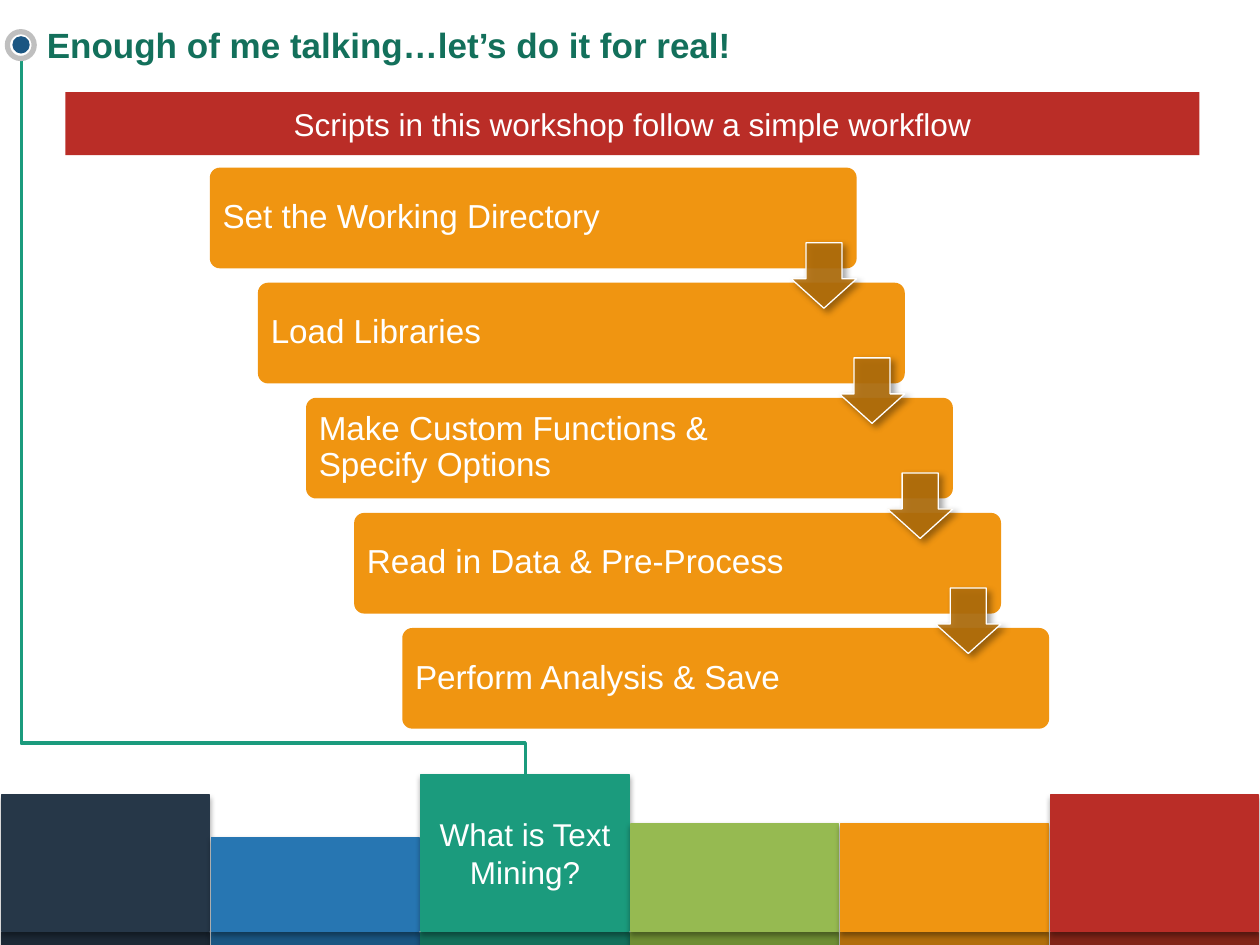
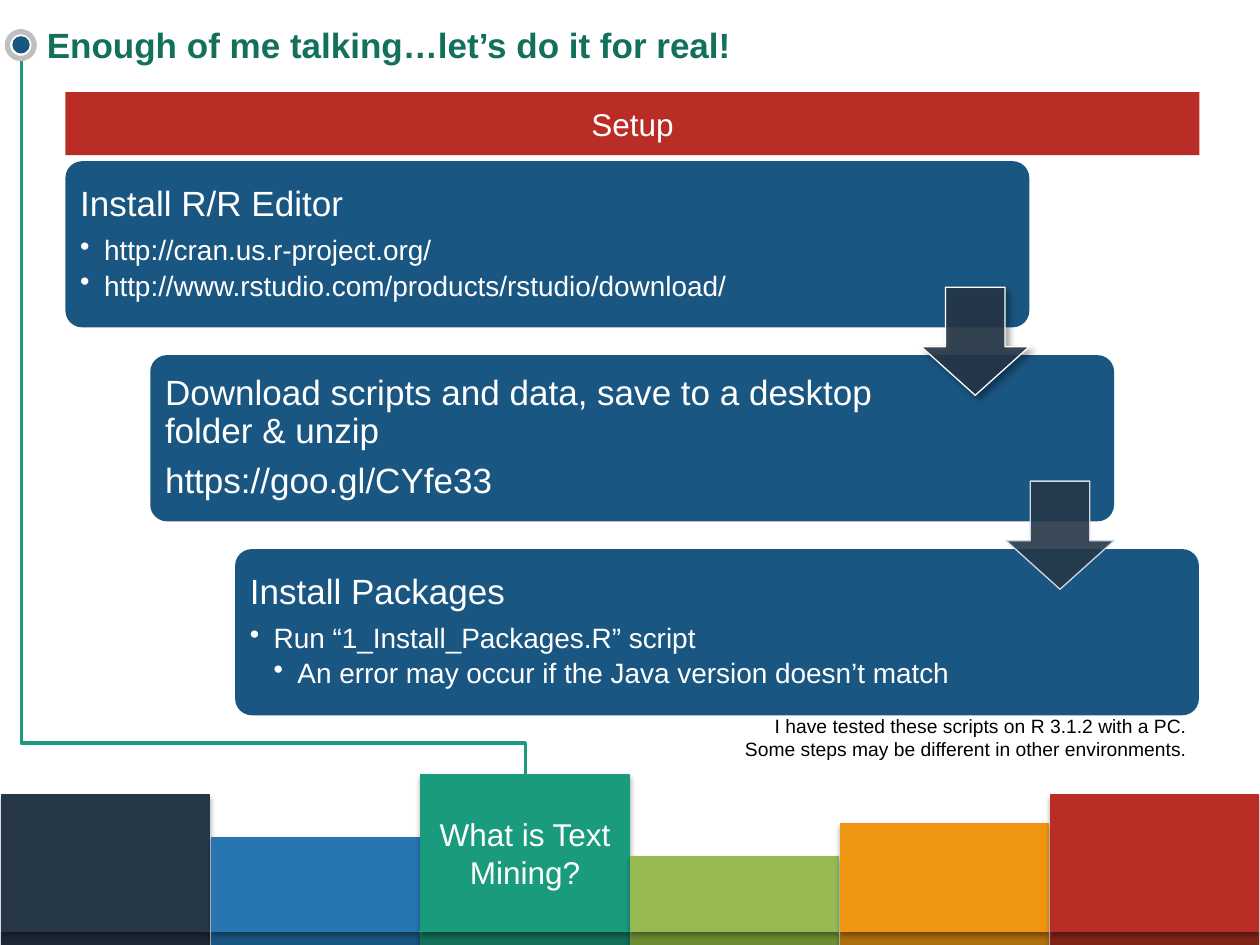
from lxml import etree
from pptx import Presentation
from pptx.dml.color import RGBColor
from pptx.enum import shapes as kinds, text as txt
from pptx.oxml.ns import qn
from pptx.util import Cm, Pt

FONT = "Arial"
WHITE, GREY, BLACK = "FFFFFF", "BFBFBF", "000000"
RED, ORANGE, BROWN = "BA2D27", "F09511", "B16E0C"
NAVY, BLUE, GREEN, DARK_GREEN = "263748", "1A5682", "1B9B7D", "13705B"
TABS = [(NAVY, "1C2835", 2.74), ("2776B2", BLUE, 1.88), (GREEN, DARK_GREEN, 3.15),
        ("96BA51", "6E8D33", 2.16), (ORANGE, BROWN, 2.16), (RED, "812417", 2.74)]
TAB_PITCH, TAB_WIDTH, TAB_BOTTOM = 4.23, 4.19, 18.77
ACTIVE_TAB, LIME_TAB = 2, 3
TAB_SHADOW = (35, 3.15, 1.8, 90)
ARROW_SHADOW = (40, 4, 3, 45)
TITLE = "Enough of me talking…let’s do it for real!"


def rgb(code):
    """Turn a hex string into a colour."""
    return RGBColor.from_string(code)


def add_shadow(shape, opacity, blur, distance, angle):
    """Give a shape a soft black outer shadow."""
    effects = shape._element.spPr.find(qn("a:effectLst"))
    outer = etree.SubElement(effects, qn("a:outerShdw"), blurRad=str(int(Pt(blur))),
                             dist=str(int(Pt(distance))), dir=str(angle * 60000),
                             rotWithShape="0")
    black = etree.SubElement(outer, qn("a:srgbClr"), val=BLACK)
    etree.SubElement(black, qn("a:alpha"), val=str(opacity * 1000))


def add_figure(slide, kind, box, fill, outline=None, weight=0.75, shadow=None, adjust=()):
    """Add a filled preset shape in a box given in centimetres."""
    shape = slide.shapes.add_shape(kind, *(Cm(side) for side in box))
    shape.shadow.inherit = False
    shape.fill.solid()
    shape.fill.fore_color.rgb = rgb(fill)
    if outline:
        shape.line.color.rgb = rgb(outline)
        shape.line.width = Pt(weight)
    else:
        shape.line.fill.background()
    if shadow:
        add_shadow(shape, *shadow)
    for index, value in enumerate(adjust):
        shape.adjustments[index] = value
    return shape


def style(paragraph, size, colour, align=txt.PP_ALIGN.LEFT, bold=False):
    """Set the font and alignment of a paragraph."""
    paragraph.alignment = align
    paragraph.font.name = FONT
    paragraph.font.size = Pt(size)
    paragraph.font.bold = bold
    paragraph.font.color.rgb = rgb(colour)


def add_bullet(paragraph, level):
    """Give a paragraph a hanging round bullet at a level."""
    paragraph.level = level
    props = paragraph._p.get_or_add_pPr()
    props.set("marL", str(int(Cm(0.48 * level))))
    props.set("indent", str(int(Cm(-0.48))))
    etree.SubElement(props, qn("a:buChar"), char="•")


def add_tabs(slide, lime_height):
    """Draw the row of section tabs with their dark base strips."""
    for index, (colour, base, height) in enumerate(TABS):
        left = 0.03 + index * TAB_PITCH
        height = lime_height if index == LIME_TAB else height
        add_figure(slide, kinds.MSO_SHAPE.RECTANGLE, (left, 18.8, TAB_WIDTH, 0.25),
                   base, base, shadow=TAB_SHADOW)
        tab = add_figure(slide, kinds.MSO_SHAPE.RECTANGLE,
                         (left, TAB_BOTTOM - height, TAB_WIDTH, height),
                         colour, colour, shadow=TAB_SHADOW)
        if index == ACTIVE_TAB:
            tab.text_frame.text = "What is Text Mining?"
            style(tab.text_frame.paragraphs[0], 18, WHITE, txt.PP_ALIGN.CENTER)


def add_route(slide, start, end):
    """Run an elbow line up from the active tab to the title marker."""
    (x1, y1), (x2, y2) = start, end
    middle_x, middle_y = (x1 + x2) / 2, (y1 + y2) / 2
    half_length, half_width = (y1 - y2) / 2, (x1 - x2) / 2
    route = slide.shapes.add_connector(
        kinds.MSO_CONNECTOR.ELBOW,
        Cm(middle_x - half_length), Cm(middle_y + half_width),
        Cm(middle_x + half_length), Cm(middle_y - half_width))
    route.line.color.rgb = rgb(GREEN)
    route.line.width = Pt(2)
    props = route._element.spPr
    props.find(qn("a:xfrm")).set("rot", str(270 * 60000))
    guides = props.find(qn("a:prstGeom")).find(qn("a:avLst"))
    etree.SubElement(guides, qn("a:gd"), name="adj1", fmla="val 4400")
    etree.SubElement(props, qn("a:effectLst"))


def add_heading(slide):
    """Place the title and its round marker."""
    for box, fill, outline in [((0.15, 0.64, 0.54, 0.54), WHITE, GREY),
                               ((0.25, 0.73, 0.35, 0.35), BLUE, None)]:
        add_figure(slide, kinds.MSO_SHAPE.OVAL, box, fill, outline, 3)
    title = slide.shapes.title
    title.left, title.top, title.width, title.height = Cm(0.69), Cm(0.28), Cm(15.54), Cm(1.24)
    title.text_frame.text = TITLE
    title.text_frame.vertical_anchor = txt.MSO_ANCHOR.MIDDLE
    style(title.text_frame.paragraphs[0], 20, DARK_GREEN, bold=True)


def add_banner(slide, caption):
    """Add the red band with its centred caption."""
    banner = add_figure(slide, kinds.MSO_SHAPE.RECTANGLE, (1.32, 1.86, 22.86, 1.27), RED)
    banner.text_frame.text = caption
    style(banner.text_frame.paragraphs[0], 18, WHITE, txt.PP_ALIGN.CENTER)


def add_step(slide, box, fill, lines, size, right_margin):
    """Add one rounded step; lines are (level, text) pairs."""
    step = add_figure(slide, kinds.MSO_SHAPE.ROUNDED_RECTANGLE, box, fill, adjust=[0.1])
    frame = step.text_frame
    frame.margin_left = frame.margin_top = frame.margin_bottom = Cm(0.2)
    frame.margin_right = Cm(right_margin)
    frame.vertical_anchor = txt.MSO_ANCHOR.MIDDLE
    for index, (level, words) in enumerate(lines):
        paragraph = frame.add_paragraph() if index else frame.paragraphs[0]
        paragraph.text = words
        paragraph.line_spacing = 0.9
        paragraph.space_after = Pt(3 if level else 7)
        if level:
            add_bullet(paragraph, level)
        style(paragraph, 16 if level else size, WHITE)


def add_arrow(slide, box, fill, outline, shadow):
    """Add a slightly transparent down arrow."""
    arrow = add_figure(slide, kinds.MSO_SHAPE.DOWN_ARROW, box, fill, outline,
                       shadow=shadow, adjust=[0.55, 0.45])
    tint = arrow._element.spPr.find(qn("a:solidFill")).find(qn("a:srgbClr"))
    etree.SubElement(tint, qn("a:alpha"), val="90000")


def add_cascade(slide, box, offset, steps, fill, size, right_margin,
                arrow_size, arrow_fill, faint_last=False):
    """Stagger steps from the first box by an offset, with arrows across the gaps."""
    left, top, width, height = box
    shift, drop = offset
    for index, lines in enumerate(steps):
        add_step(slide, (left + index * shift, top + index * drop, width, height),
                 fill, lines, size, right_margin)
    arrow_top = top + (height + drop - arrow_size) / 2
    for index in range(len(steps) - 1):
        faint = faint_last and index == len(steps) - 2
        add_arrow(slide, (left + width - arrow_size + index * shift,
                          arrow_top + index * drop, arrow_size, arrow_size),
                  arrow_fill, "D0D8E8" if faint else WHITE, None if faint else ARROW_SHADOW)


def add_note(slide, box, lines):
    """Add the small right-aligned note."""
    frame = slide.shapes.add_textbox(*(Cm(side) for side in box)).text_frame
    frame.word_wrap = True
    frame.text = "\n".join(lines)
    for paragraph in frame.paragraphs:
        style(paragraph, 11, BLACK, txt.PP_ALIGN.RIGHT)


def new_slide(deck, caption, lime_height):
    """Add a slide with the shared tabs, route, heading and banner."""
    slide = deck.slides.add_slide(deck.slide_layouts[5])
    add_tabs(slide, lime_height)
    add_route(slide, (10.59, 15.62), (0.43, 1.17))
    add_heading(slide)
    add_banner(slide, caption)
    return slide


def workflow_slide(deck):
    """Build the five-step workflow slide."""
    slide = new_slide(deck, "Scripts in this workshop follow a simple workflow", 2.16)
    steps = ["Set the Working Directory", "Load Libraries",
             "Make Custom Functions & Specify Options",
             "Read in Data & Pre-Process", "Perform Analysis & Save"]
    add_cascade(slide, (4.23, 3.38, 13.04, 2.03), (0.97, 2.32),
                [[(0, step)] for step in steps], ORANGE, 19, 2.5, 1.32, BROWN)


def setup_slide(deck):
    """Build the three-step setup slide."""
    slide = new_slide(deck, "Setup", 1.5)
    steps = [
        [(0, "Install R/R Editor"),
         (1, "http://cran.us.r-project.org/"),
         (1, "http://www.rstudio.com/products/rstudio/download/")],
        [(0, "Download scripts and data, save to a desktop folder & unzip"),
         (0, "https://goo.gl/CYfe33")],
        [(0, "Install Packages"),
         (1, "Run “1_Install_Packages.R” script"),
         (2, "An error may occur if the Java version doesn’t match")],
    ]
    add_cascade(slide, (1.32, 3.25, 19.43, 3.35), (1.71, 3.91), steps,
                BLUE, 20, 4, 2.18, NAVY, faint_last=True)
    add_note(slide, (14.58, 14.27, 9.6, 1.19),
             ["I have tested these scripts on R 3.1.2 with a PC.",
              "Some steps may be different in other environments."])


def main():
    """Build and save the deck."""
    deck = Presentation()
    deck.slide_width, deck.slide_height = Cm(25.4), Cm(19.05)
    workflow_slide(deck)
    setup_slide(deck)
    deck.save("out.pptx")


if __name__ == "__main__":
    main()
